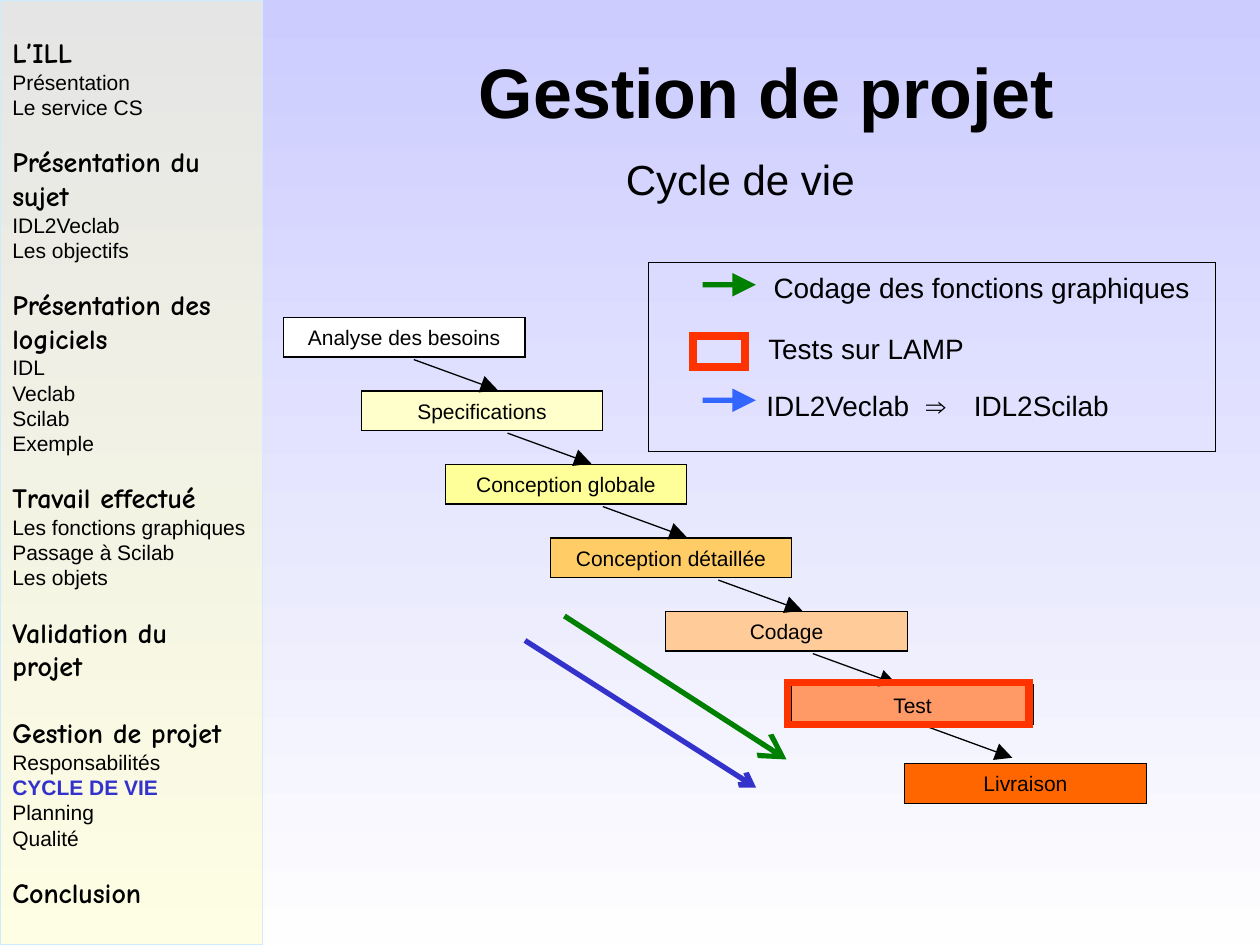
from lxml import etree
from pptx import Presentation
from pptx.dml.color import RGBColor
from pptx.enum.shapes import MSO_CONNECTOR as Connector, MSO_SHAPE as Shape
from pptx.enum.text import MSO_ANCHOR as Anchor, PP_ALIGN as Align
from pptx.oxml.ns import qn
from pptx.util import Pt

BLACK = "000000"
RED = "FF3300"
GREEN = "008000"
INDIGO = "3333CC"
HEADING_FONT = "Comic Neue"
CURRENT_TOPIC = "CYCLE DE VIE"

TOPICS = [
    (["L’ILL"], ["Présentation", "Le service CS"]),
    (["Présentation du", "sujet"], ["IDL2Veclab", "Les objectifs"]),
    (["Présentation des", "logiciels"], ["IDL", "Veclab", "Scilab", "Exemple"]),
    (["Travail effectué"],
     ["Les fonctions graphiques", "Passage à Scilab", "Les objets"]),
    (["Validation du", "projet"], []),
    (["Gestion de projet"],
     ["Responsabilités", CURRENT_TOPIC, "Planning", "Qualité"]),
    (["Conclusion"], []),
]

STEPS = [
    ("Analyse des besoins", 162, 181.5, "FFFFFF"),
    ("Specifications", 206.5, 223.5, "FFFFCC"),
    ("Conception globale", 254.5, 265.5, "FFFF99"),
    ("Conception détaillée", 314.5, 307.5, "FFCC66"),
    ("Codage", 380.5, 349.5, "FFCC99"),
    ("Test", 452.5, 391.5, "FF9966"),
    ("Livraison", 517, 436.5, "FF6600"),
]
STEP_WIDTH, STEP_HEIGHT = 138, 22.5
ARROW_STARTS = [236.5, 290, 344.5, 410.5, 464.5, 530.5]


def color(value):
    return RGBColor.from_string(value)


def style(para, size, font="Arial", ink=BLACK, bold=False):
    for span in para.runs:
        span.font.size = Pt(size)
        span.font.name = font
        span.font.bold = bold
        span.font.color.rgb = color(ink)


def set_margins(frame, horizontal, vertical):
    frame.margin_left = frame.margin_right = Pt(horizontal)
    frame.margin_top = frame.margin_bottom = Pt(vertical)


def write(shape, text, size, align=Align.LEFT, bold=False):
    frame = shape.text_frame
    frame.text = text
    para = frame.paragraphs[0]
    para.alignment = align
    style(para, size, bold=bold)
    return frame


def add_text(page, text, left, top, width, height, size,
             align=Align.LEFT, wrap=False):
    box = page.shapes.add_textbox(Pt(left), Pt(top), Pt(width), Pt(height))
    frame = write(box, text, size, align)
    set_margins(frame, 0, 0)
    frame.word_wrap = wrap


def add_box(page, left, top, width, height, fill=None, line=BLACK,
            weight=0.75, kind=Shape.RECTANGLE):
    box = page.shapes.add_shape(kind, Pt(left), Pt(top), Pt(width), Pt(height))
    box.shadow.inherit = False
    if fill:
        box.fill.solid()
        box.fill.fore_color.rgb = color(fill)
    else:
        box.fill.background()
    if line:
        box.line.color.rgb = color(line)
        box.line.width = Pt(weight)
        etree.SubElement(box.line._get_or_add_ln(), qn("a:miter"), lim="800000")
    else:
        box.line.fill.background()
    return box


def add_arrow(page, start, end, ink=BLACK, weight=0.75,
              head="triangle", head_size="lg"):
    arrow = page.shapes.add_connector(
        Connector.STRAIGHT, *(Pt(value) for value in (*start, *end)))
    arrow.line.color.rgb = color(ink)
    arrow.line.width = Pt(weight)
    etree.SubElement(arrow.line._get_or_add_ln(), qn("a:tailEnd"),
                     type=head, w=head_size, len=head_size)
    etree.SubElement(arrow._element.spPr, qn("a:effectLst"))


def add_block_arrow(page, top, fill):
    arrow = add_box(page, 401.5, top, 30.5, 13.5, fill, None,
                    kind=Shape.RIGHT_ARROW)
    arrow.adjustments[0] = 0.22
    arrow.adjustments[1] = 1


def paint_background(page):
    fill = page.background.fill
    fill.gradient()
    fill.gradient_angle = 270
    for stop, shade in zip(fill.gradient_stops, ("CCCCFF", "FEFEFE")):
        stop.color.rgb = color(shade)


def place_title(page):
    title = page.shapes.title
    title.left, title.top = Pt(156), Pt(24)
    title.width, title.height = Pt(564), Pt(55.5)
    frame = write(title, "Gestion de projet", 40, Align.CENTER, True)
    frame.vertical_anchor = Anchor.TOP


def add_sidebar(page):
    panel = add_box(page, 0, 0, 150, 540, "FFFFCC", "CCECFF")
    tint = panel._element.spPr.find(qn("a:solidFill")).find(qn("a:srgbClr"))
    etree.SubElement(tint, qn("a:alpha"), val="50000")
    frame = panel.text_frame
    set_margins(frame, 7.2, 3.6)
    frame.word_wrap = False
    frame.vertical_anchor = Anchor.MIDDLE
    lines = [line for headings, items in TOPICS for line in headings + items]
    frame.text = "\n".join(lines)
    paras = iter(frame.paragraphs)
    for index, (headings, items) in enumerate(TOPICS):
        for position, heading in enumerate(headings):
            para = next(paras)
            para.alignment = Align.LEFT
            style(para, 16, HEADING_FONT, bold=True)
            if index and position == 0:
                para.space_before = Pt(14.4 if TOPICS[index - 1][1] else 19.2)
        for item in items:
            para = next(paras)
            para.alignment = Align.LEFT
            current = item == CURRENT_TOPIC
            style(para, 12, ink=INDIGO if current else BLACK, bold=current)


def add_life_cycle(page):
    for name, left, top, fill in STEPS:
        box = add_box(page, left, top, STEP_WIDTH, STEP_HEIGHT, fill)
        frame = write(box, name, 12, Align.CENTER)
        set_margins(frame, 0, 0)
        frame.vertical_anchor = Anchor.MIDDLE
    for left, (_, _, top, _) in zip(ARROW_STARTS, STEPS):
        start = top + STEP_HEIGHT + 1.5
        add_arrow(page, (left, start), (left + 48, start + 17.5))


def add_legend(page):
    add_box(page, 370.5, 150, 324, 108)
    add_block_arrow(page, 156, GREEN)
    add_text(page, "Codage des fonctions graphiques", 442, 154.5, 240, 19.5, 16)
    add_box(page, 396, 192, 30, 18, line=RED, weight=4.5)
    add_text(page, "Tests sur LAMP", 439, 189.5, 184, 19.5, 16)
    add_block_arrow(page, 222, "3366FF")
    for text, left, width in (("IDL2Veclab", 438, 88), ("⇒", 529, 13),
                              ("IDL2Scilab", 556.5, 88)):
        add_text(page, text, left, 222, width, 19.5, 16)


def add_highlights(page):
    add_box(page, 450, 390, 138, 24, line=RED, weight=4.5)
    add_arrow(page, (322.5, 352), (449.5, 434), GREEN, 3, "arrow")
    add_arrow(page, (300, 366), (432, 450), INDIGO, 3, "arrow", "med")


def main():
    deck = Presentation()
    deck.slide_width, deck.slide_height = Pt(720), Pt(540)
    page = deck.slides.add_slide(deck.slide_layouts[5])
    paint_background(page)
    place_title(page)
    add_sidebar(page)
    add_text(page, "Cycle de vie", 162, 87.5, 522, 29, 24, Align.CENTER, True)
    add_life_cycle(page)
    add_legend(page)
    add_highlights(page)
    deck.save("out.pptx")


if __name__ == "__main__":
    main()
